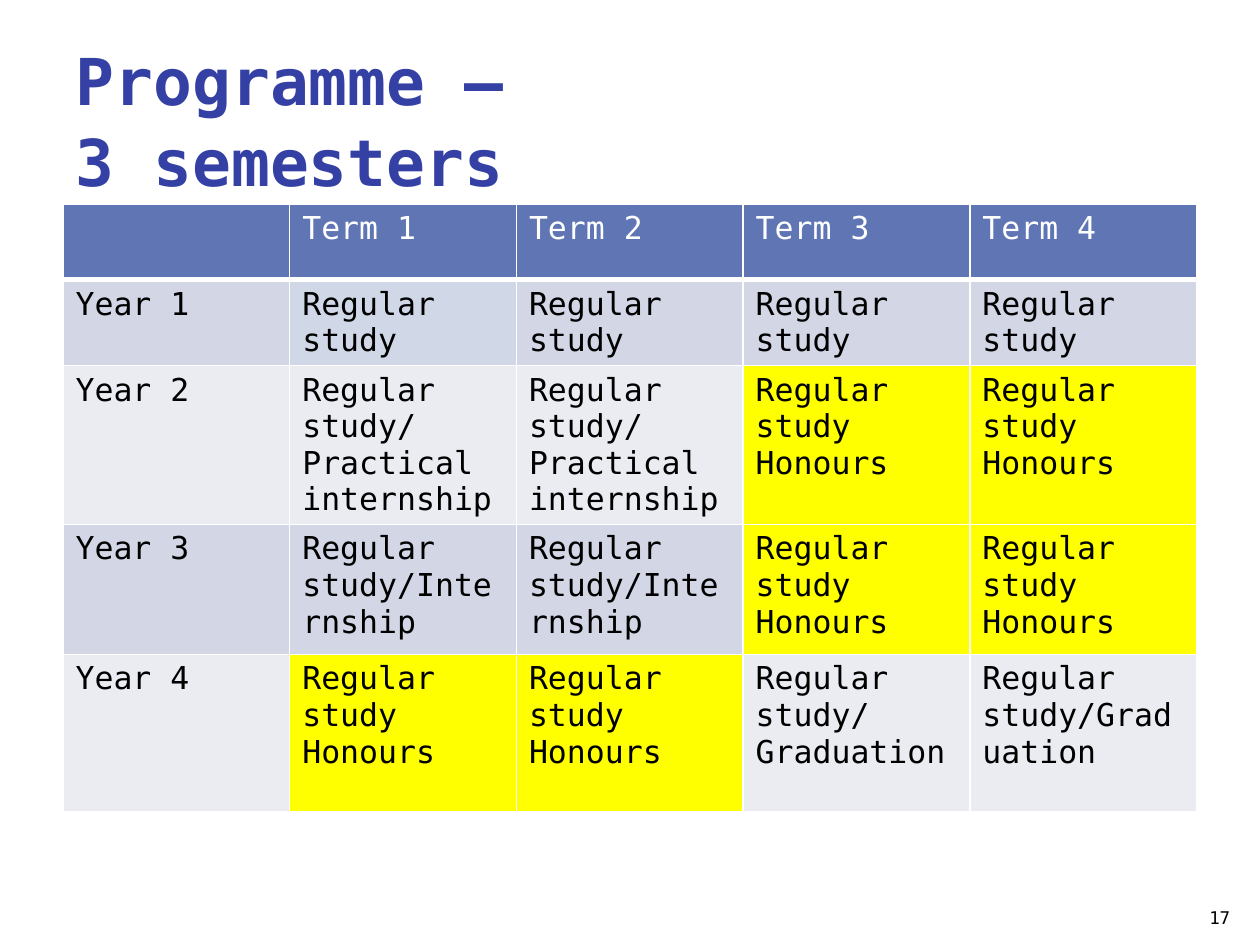
"""Build the slide with the honours programme timetable."""
from dataclasses import dataclass

from lxml import etree
from pptx import Presentation
from pptx import util as u
from pptx.dml.color import RGBColor
from pptx.enum import text
from pptx.oxml.ns import qn


@dataclass(frozen=True)
class Theme:
    """Colours, font and type sizes."""
    font: str = "DejaVu Sans Mono"
    title: str = "3540A5"
    header: str = "6076B4"
    band_dark: str = "D2D6E5"
    band_light: str = "EAECF2"
    first_term: str = "D0D8E8"
    honours: str = "FFFF00"
    white: str = "FFFFFF"
    black: str = "000000"
    title_size: float = 36.9
    table_size: float = 18
    number_size: float = 10


@dataclass(frozen=True)
class Row:
    """One table row: its height in centimetres and its cell texts."""
    height: float
    cells: tuple[str, ...]


THEME = Theme()
STUDY = "Regular study"
HONOURS = "Regular study Honours"
INTERNSHIP = "Regular study/Internship"
COLUMN_WIDTH = 4.57
ROWS = (
    Row(1.52, ("", "Term 1", "Term 2", "Term 3", "Term 4")),
    Row(1.73, ("Year 1", STUDY, STUDY, STUDY, STUDY)),
    Row(3.2, ("Year 2", "Regular study/\nPractical\ninternship",
              "Regular study/\nPractical internship", HONOURS, HONOURS)),
    Row(2.62, ("Year 3", INTERNSHIP, INTERNSHIP, HONOURS, HONOURS)),
    Row(3.18, ("Year 4", HONOURS, HONOURS, "Regular study/ Graduation",
               "Regular study/Graduation")),
)


def format_text(text_frame, size: float, colour: str, bold: bool = False,
                alignment=text.PP_ALIGN.LEFT) -> None:
    """Format every paragraph and run of a text frame."""
    for paragraph in text_frame.paragraphs:
        paragraph.alignment = alignment
        for font in (paragraph.font, *(run.font for run in paragraph.runs)):
            font.name = THEME.font
            font.size = u.Pt(size)
            font.bold = bold
            font.color.rgb = RGBColor.from_string(colour)


def add_borders(cell, bottom: float) -> None:
    """Give a cell white borders, with its own bottom width in points."""
    properties = cell._tc.get_or_add_tcPr()
    for side, width in (("L", 1), ("R", 1), ("T", 1), ("B", bottom)):
        line = etree.SubElement(properties, qn(f"a:ln{side}"), w=str(u.Pt(width)))
        fill = etree.SubElement(line, qn("a:solidFill"))
        etree.SubElement(fill, qn("a:srgbClr"), val=THEME.white)


def cell_colour(row: int, column: int, content: str) -> str:
    """Choose the fill of a cell from its place and text."""
    if row == 0:
        return THEME.header
    if content == HONOURS:
        return THEME.honours
    if (row, column) == (1, 1):
        return THEME.first_term
    return THEME.band_dark if row % 2 else THEME.band_light


def add_title(slide) -> None:
    """Fill and place the title placeholder."""
    title = slide.shapes.title
    title.left, title.top = u.Cm(1.27), u.Cm(0.8)
    title.width, title.height = u.Cm(22.86), u.Cm(3.18)
    title.text_frame.text = "Programme – \v3 semesters"
    title.text_frame.auto_size = text.MSO_AUTO_SIZE.NONE
    title.text_frame.vertical_anchor = text.MSO_ANCHOR.MIDDLE
    title.text_frame.paragraphs[0].line_spacing = 1.04
    format_text(title.text_frame, THEME.title_size, THEME.title, bold=True)


def add_timetable(slide) -> None:
    """Add the table of years and terms."""
    columns = len(ROWS[0].cells)
    table = slide.shapes.add_table(
        len(ROWS), columns, u.Cm(1.27), u.Cm(4.12),
        u.Cm(columns * COLUMN_WIDTH), u.Cm(sum(row.height for row in ROWS))).table
    for column in table.columns:
        column.width = u.Cm(COLUMN_WIDTH)
    for row_index, row in enumerate(ROWS):
        table.rows[row_index].height = u.Cm(row.height)
        for column_index, content in enumerate(row.cells):
            cell = table.cell(row_index, column_index)
            cell.text_frame.text = content
            add_borders(cell, bottom=1 if row_index else 3)
            cell.fill.solid()
            cell.fill.fore_color.rgb = RGBColor.from_string(
                cell_colour(row_index, column_index, content))
            format_text(cell.text_frame, THEME.table_size,
                        THEME.black if row_index else THEME.white)


def add_slide_number(slide) -> None:
    """Add the page number at the bottom right."""
    shape = slide.shapes.add_textbox(u.Cm(24.03), u.Cm(17.81), u.Cm(1.02), u.Cm(1.02))
    shape.text_frame.word_wrap = True
    shape.text_frame.vertical_anchor = text.MSO_ANCHOR.BOTTOM
    shape.text_frame.text = "17"
    format_text(shape.text_frame, THEME.number_size, THEME.black,
                alignment=text.PP_ALIGN.RIGHT)


def main() -> None:
    """Build and save the presentation."""
    presentation = Presentation()
    presentation.slide_width, presentation.slide_height = u.Cm(25.4), u.Cm(19.05)
    slide = presentation.slides.add_slide(presentation.slide_layouts[5])
    add_timetable(slide)
    add_slide_number(slide)
    add_title(slide)
    presentation.save("out.pptx")


if __name__ == "__main__":
    main()
